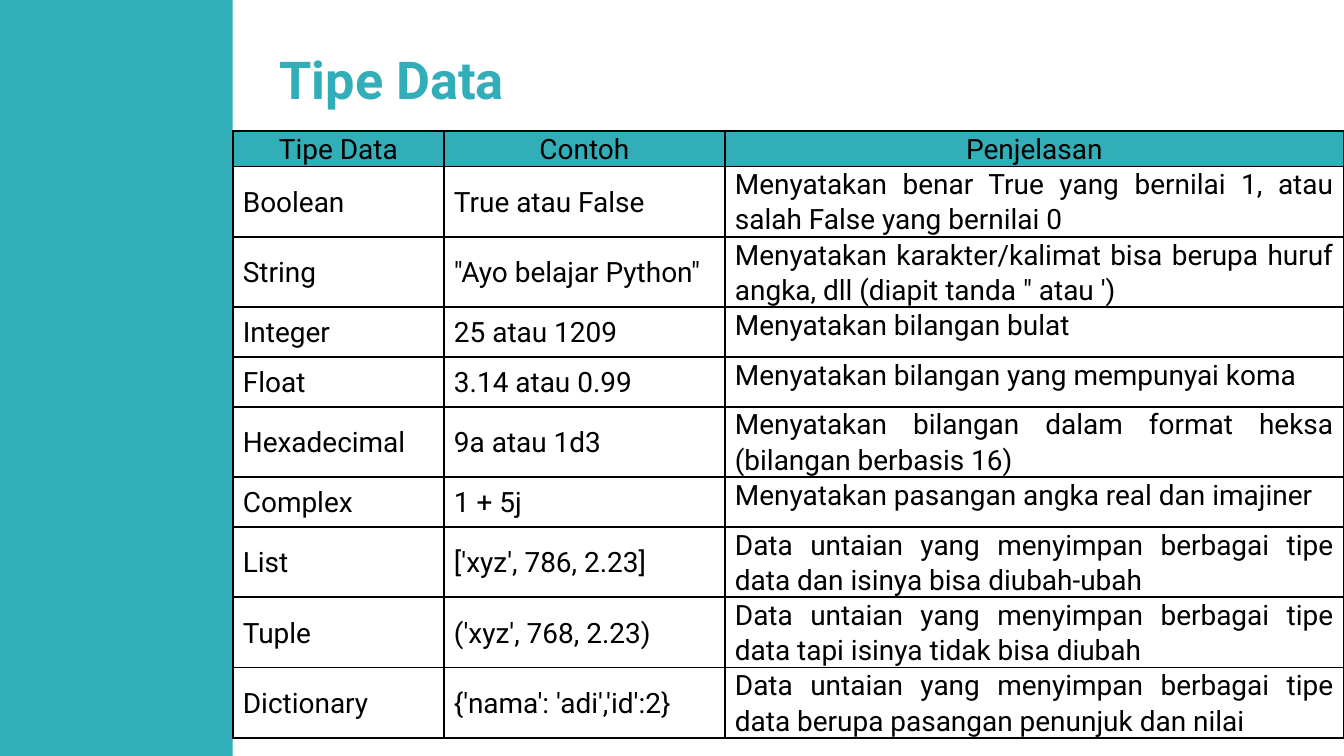
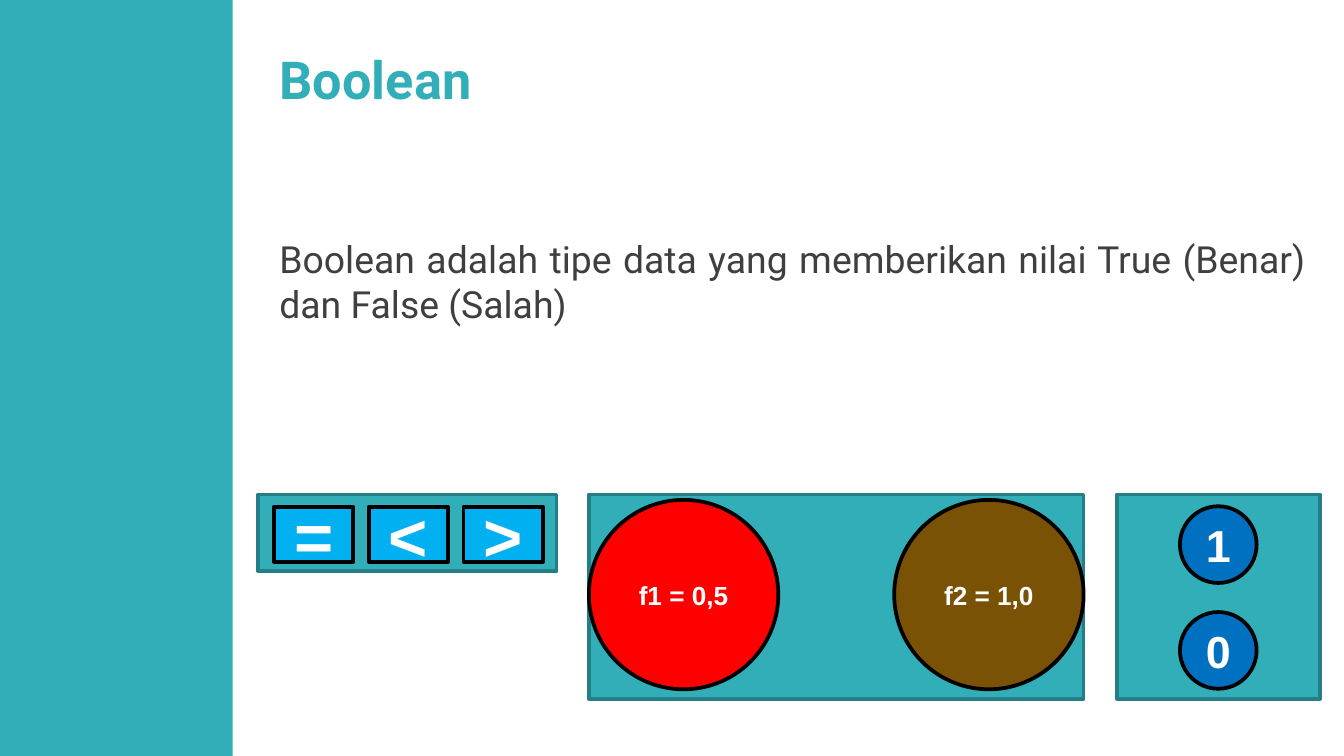
from lxml import etree
from pptx import Presentation
from pptx.dml.color import RGBColor
from pptx.enum.shapes import MSO_SHAPE
from pptx.enum.text import MSO_ANCHOR, MSO_AUTO_SIZE, PP_ALIGN
from pptx.oxml.ns import qn
from pptx.util import Cm, Pt

RECT, OVAL = MSO_SHAPE.RECTANGLE, MSO_SHAPE.OVAL
LEFT, CENTER, JUSTIFY = PP_ALIGN.LEFT, PP_ALIGN.CENTER, PP_ALIGN.JUSTIFY
TOP, MIDDLE = MSO_ANCHOR.TOP, MSO_ANCHOR.MIDDLE
NO_FIT = MSO_AUTO_SIZE.NONE

COLORS = {
    "teal": "32AEB8",
    "edge": "247E86",
    "black": "000000",
    "white": "FFFFFF",
    "gray": "3F3F3F",
    "sky": "00B0F0",
    "red": "FF0000",
    "brown": "795206",
    "blue": "0070C0",
}
WIDTH, HEIGHT = 25.4, 14.29
BAR = 4.4
INDENT = 5.03
SHELF = 9.35

HEADS = ("Tipe Data", "Contoh", "Penjelasan")
TYPES = [
    ("Boolean", "True atau False",
     "Menyatakan benar True yang bernilai 1, atau salah False yang bernilai 0"),
    ("String", '"Ayo belajar Python"',
     "Menyatakan karakter/kalimat bisa berupa huruf angka, dll (diapit tanda \" atau ')"),
    ("Integer", "25 atau 1209", "Menyatakan bilangan bulat"),
    ("Float", "3.14 atau 0.99", "Menyatakan bilangan yang mempunyai koma"),
    ("Hexadecimal", "9a atau 1d3",
     "Menyatakan bilangan dalam format heksa (bilangan berbasis 16)"),
    ("Complex", "1 + 5j", "Menyatakan pasangan angka real dan imajiner"),
    ("List", "['xyz', 786, 2.23]",
     "Data untaian yang menyimpan berbagai tipe data dan isinya bisa diubah-ubah"),
    ("Tuple", "('xyz', 768, 2.23)",
     "Data untaian yang menyimpan berbagai tipe data tapi isinya tidak bisa diubah"),
    ("Dictionary", "{'nama': 'adi','id':2}",
     "Data untaian yang menyimpan berbagai tipe data berupa pasangan penunjuk dan nilai"),
]
COLS = (3.99, 5.31, 11.7)
HEAD_ROW, LOW_ROW, TALL_ROW = 0.66, 0.94, 1.33
LOW_TYPES = ("Integer", "Float", "Complex")


def rgb(name):
    return RGBColor.from_string(COLORS[name])


def write(frame, text, size, color, align, font="Roboto", bold=False):
    frame.text = text
    para = frame.paragraphs[0]
    para.alignment = align
    for run in para.runs:
        run.font.name = font
        run.font.size = Pt(size)
        run.font.bold = bold
        run.font.color.rgb = rgb(color)
    return para


def add_shape(slide, kind, box, fill, line=None):
    shape = slide.shapes.add_shape(kind, *map(Cm, box))
    shape.shadow.inherit = False
    shape.fill.solid()
    shape.fill.fore_color.rgb = rgb(fill)
    if line:
        shape.line.color.rgb = rgb(line)
        shape.line.width = Pt(2)
    else:
        shape.line.fill.background()
    return shape


def add_label(slide, kind, box, fill, text, size):
    frame = add_shape(slide, kind, box, fill, "black").text_frame
    frame.vertical_anchor = MIDDLE
    write(frame, text, size, "white", CENTER, "Arial", True)


def add_slide(deck, text):
    slide = deck.slides.add_slide(deck.slide_layouts[5])
    add_shape(slide, RECT, (0, 0, BAR, HEIGHT), "teal")
    title = slide.shapes.title
    title.left, title.top = Cm(INDENT), Cm(0.76)
    title.width, title.height = Cm(18), Cm(2.77)
    frame = title.text_frame
    frame.auto_size = NO_FIT
    frame.vertical_anchor = TOP
    write(frame, text, 28, "teal", LEFT, bold=True)
    return slide


def add_text(slide, box, text):
    frame = slide.shapes.add_textbox(*map(Cm, box)).text_frame
    frame.word_wrap = True
    write(frame, text, 20, "gray", JUSTIFY)


def add_edges(cell):
    props = cell._tc.get_or_add_tcPr()
    for spot, side in enumerate(("lnL", "lnR", "lnT", "lnB")):
        line = etree.Element(qn(f"a:{side}"), w=str(Pt(1)))
        fill = etree.SubElement(line, qn("a:solidFill"))
        etree.SubElement(fill, qn("a:srgbClr"), val=COLORS["black"])
        props.insert(spot, line)


def fill_cell(cell, text, align, anchor, head):
    cell.margin_left = cell.margin_right = Cm(0.19)
    cell.margin_top = cell.margin_bottom = 0
    cell.vertical_anchor = anchor
    para = write(cell.text_frame, text, 15, "black", align)
    para.line_spacing = 1.07
    if head:
        cell.fill.solid()
        cell.fill.fore_color.rgb = rgb("teal")
    else:
        cell.fill.background()
    add_edges(cell)


def add_table(slide):
    rows = [HEADS] + TYPES
    highs = [HEAD_ROW] + [LOW_ROW if row[0] in LOW_TYPES else TALL_ROW for row in TYPES]
    table = slide.shapes.add_table(
        len(rows), len(COLS), Cm(BAR), Cm(2.48), Cm(sum(COLS)), Cm(sum(highs))
    ).table
    table.first_row = table.horz_banding = False
    for col, width in zip(table.columns, COLS):
        col.width = Cm(width)
    for r, (row, high) in enumerate(zip(rows, highs)):
        table.rows[r].height = Cm(high)
        for c, text in enumerate(row):
            prose = r > 0 and c == 2
            align = CENTER if r == 0 else JUSTIFY if prose else LEFT
            fill_cell(table.cell(r, c), text, align, TOP if prose else MIDDLE, r == 0)


def add_panels(slide):
    for left, width, high in ((11.13, 9.35, 3.86), (4.88, 5.64, 1.45), (21.11, 3.84, 3.86)):
        add_shape(slide, RECT, (left, SHELF, width, high), "teal", "edge")


def add_signs(slide):
    for i, sign in enumerate("=<>"):
        add_label(slide, RECT, (5.18 + 1.79 * i, 9.58, 1.5, 1.04), "sky", sign, 36)


def add_balls(slide):
    balls = (("f1 = 0,5", "red"), ("f2 = 1,0", "brown"))
    for i, (text, fill) in enumerate(balls):
        add_label(slide, OVAL, (11.13 + 5.77 * i, 9.45, 3.58, 3.58), fill, text, 14)


def add_bits(slide):
    for i, bit in enumerate("10"):
        add_label(slide, OVAL, (22.3, 9.57 + 2 * i, 1.45, 1.45), "blue", bit, 24)


def main():
    deck = Presentation()
    deck.slide_width, deck.slide_height = Cm(WIDTH), Cm(HEIGHT)

    add_table(add_slide(deck, "Tipe Data"))

    slide = add_slide(deck, "Boolean")
    add_text(slide, (INDENT, 4.34, 19.91, 2.13),
             "Boolean adalah tipe data yang memberikan nilai True (Benar) dan False (Salah)")
    add_panels(slide)
    add_signs(slide)
    add_balls(slide)
    add_bits(slide)

    deck.save("out.pptx")


if __name__ == "__main__":
    main()
